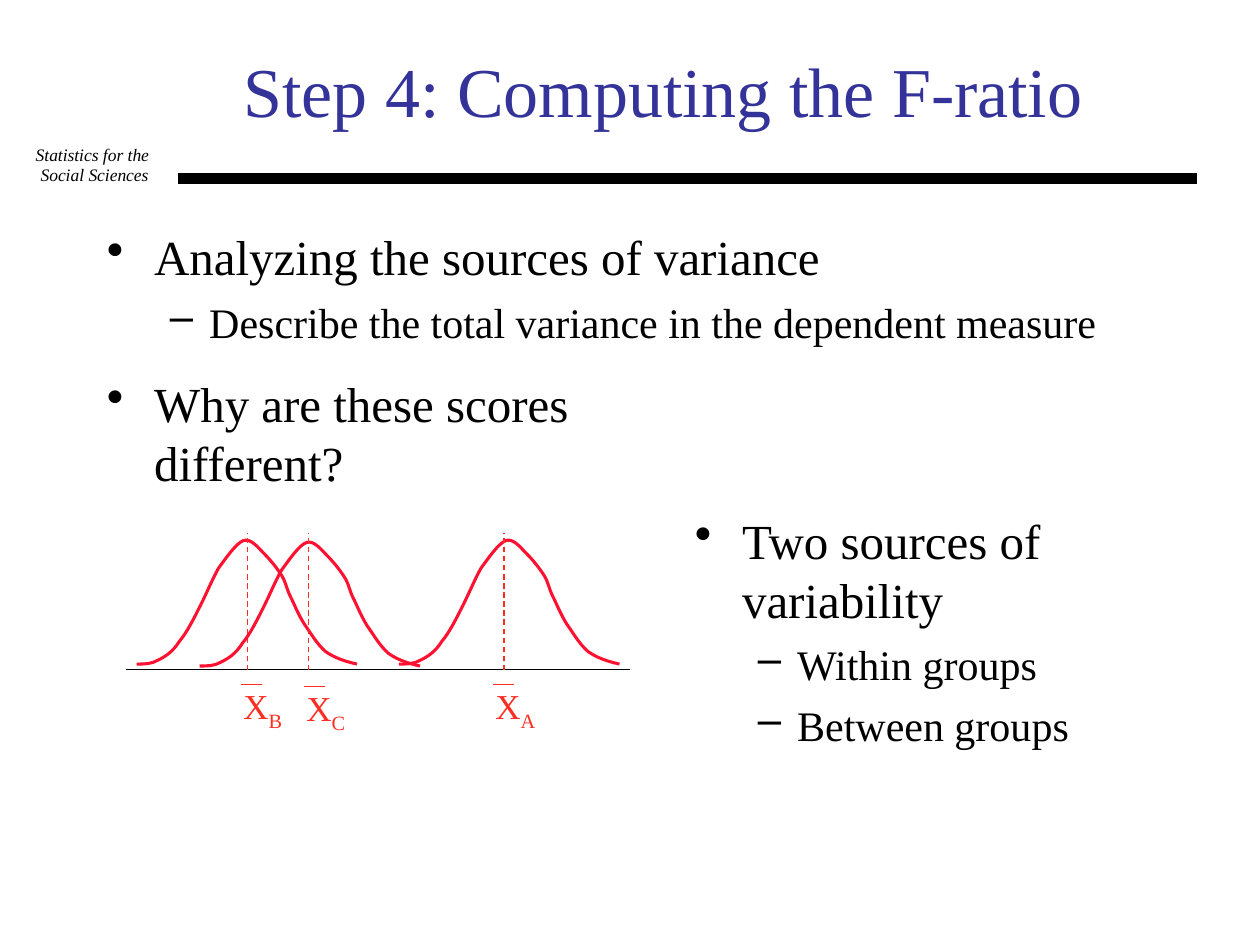
from typing import NamedTuple

from lxml.etree import SubElement
from pptx import Presentation
from pptx.dml.color import RGBColor
from pptx.enum.dml import MSO_LINE_DASH_STYLE as Dash
from pptx.enum.shapes import MSO_CONNECTOR_TYPE as Connector
from pptx.enum.text import MSO_ANCHOR as Anchor, MSO_AUTO_SIZE as AutoSize, PP_ALIGN as Align
from pptx.oxml.ns import qn
from pptx.util import Pt

FONT = "Times New Roman"
COLORS = {"text": "000000", "title": "333399", "curve": "FF1131", "mean": "FF2E23"}
AXIS_Y = 382.75
MEAN_TOP = 304.5

# Bell outline: cubic segments (two controls and an end) from the left foot.
BELL = [
    ((4.3, 0), (8.6, 0), (12.2, -2.2)),
    ((16.6, -4.3), (20.9, -7.2), (24.5, -13)),
    ((28.8, -18), (33.1, -26.6), (36.7, -33.8)),
    ((40.3, -41), (43.2, -48.2), (46.8, -54.7)),
    ((51.1, -60.5), (56.9, -69.1), (61.2, -70.6)),
    ((65.5, -72), (69.8, -66.2), (73.4, -62.6)),
    ((77, -59), (81.4, -53.3), (83.5, -49.7)),
    ((85.7, -45.4), (85.7, -43.2), (87.8, -38.9)),
    ((90, -34.6), (92.2, -28.8), (95.8, -23)),
    ((99.4, -18), (103, -11.5), (108, -7.2)),
    ((113, -3.6), (119.5, -1.4), (126, 0)),
]


class Level(NamedTuple):
    bullet: str
    size: float
    left: float
    hanging: float
    space_before: float


class Distribution(NamedTuple):
    group: str
    curve_left: float
    mean_x: float
    label_left: float
    label_top: float


class BulletBox(NamedTuple):
    left: float
    top: float
    width: float
    height: float
    items: list[tuple[int, str]]


LEVELS = [Level("•", 28, 27, 27, 7), Level("–", 24, 58.5, 22.5, 6)]
DISTRIBUTIONS = [
    Distribution("B", 78, 141.3, 132, 387.5),
    Distribution("A", 228, 288, 276, 387.5),
    Distribution("C", 114, 176.4, 168, 388.6),
]
BULLET_BOXES = [
    BulletBox(54, 126, 618, 96, [
        (0, "Analyzing the sources of variance"),
        (1, "Describe the total variance in the dependent measure"),
    ]),
    BulletBox(54, 210, 288, 78, [(0, "Why are these scores different?")]),
    BulletBox(390, 288, 294, 156, [
        (0, "Two sources of variability"),
        (1, "Within groups"),
        (1, "Between groups"),
    ]),
]


def rgb(name: str) -> RGBColor:
    return RGBColor.from_string(COLORS[name])


def add_run(paragraph, text: str, size: float, color: str = "text", italic: bool = False):
    run = paragraph.add_run()
    run.text = text
    font = run.font
    font.name, font.size, font.italic = FONT, Pt(size), italic
    font.color.rgb = rgb(color)
    return run


def add_text_frame(slide, left: float, top: float, width: float, height: float):
    box = slide.shapes.add_textbox(Pt(left), Pt(top), Pt(width), Pt(height))
    box.text_frame.word_wrap = True
    return box.text_frame


def next_paragraph(frame, index: int, space_before: float):
    """Return the first paragraph, or a new one with space before it."""
    if index == 0:
        return frame.paragraphs[0]
    paragraph = frame.add_paragraph()
    paragraph.space_before = Pt(space_before)
    return paragraph


def add_line(slide, start: tuple, end: tuple, color: str, width: float, dash=None) -> None:
    points = [Pt(value) for value in (*start, *end)]
    line = slide.shapes.add_connector(Connector.STRAIGHT, *points)
    line.line.color.rgb = rgb(color)
    line.line.width = Pt(width)
    if dash:
        line.line.dash_style = dash
    SubElement(line._element.spPr, qn("a:effectLst"))


def set_bullet(paragraph, level: Level) -> None:
    properties = paragraph._p.get_or_add_pPr()
    properties.set("marL", str(Pt(level.left)))
    properties.set("indent", str(-Pt(level.hanging)))
    color = SubElement(properties, qn("a:buClr"))
    SubElement(color, qn("a:srgbClr")).set("val", COLORS["text"])
    SubElement(properties, qn("a:buChar")).set("char", level.bullet)


def add_bullets(slide, box: BulletBox) -> None:
    frame = add_text_frame(slide, box.left, box.top, box.width, box.height)
    for index, (depth, text) in enumerate(box.items):
        level = LEVELS[depth]
        paragraph = next_paragraph(frame, index, level.space_before)
        paragraph.level = depth
        set_bullet(paragraph, level)
        add_run(paragraph, text, level.size)


def smooth_outline(shape) -> None:
    """Turn every three straight segments into one cubic segment."""
    outline = next(shape._element.iter(qn("a:path")))
    lines = outline.findall(qn("a:lnTo"))
    for start in range(0, len(lines), 3):
        cubic = SubElement(outline, qn("a:cubicBezTo"))
        for line in lines[start:start + 3]:
            cubic.append(line[0])
            outline.remove(line)


def add_bell(slide, left: float, foot: float) -> None:
    points = [(Pt(left + x), Pt(foot + y)) for segment in BELL for x, y in segment]
    builder = slide.shapes.build_freeform(Pt(left), Pt(foot))
    builder.add_line_segments(points, close=False)
    curve = builder.convert_to_shape()
    smooth_outline(curve)
    curve.shadow.inherit = False
    curve.fill.background()
    curve.line.color.rgb = rgb("curve")
    curve.line.width = Pt(1.75)


def add_distribution(slide, item: Distribution) -> None:
    """Draw a bell curve, its mean line and its X-bar label."""
    add_bell(slide, item.curve_left, item.label_top - 8)
    add_line(slide, (item.mean_x, AXIS_Y), (item.mean_x, MEAN_TOP), "mean", 0.75, Dash.DASH)
    frame = add_text_frame(slide, item.label_left, item.label_top, 42, 34.5)
    paragraph = frame.paragraphs[0]
    add_run(paragraph, "X", 20, "mean")
    subscript = add_run(paragraph, item.group, 20, "mean")
    subscript.font._element.set("baseline", "-25000")
    bar_left, bar_y = item.label_left + 6, item.label_top + 3.6
    add_line(slide, (bar_left, bar_y), (bar_left + 12, bar_y), "mean", 0.75)


def add_header(slide) -> None:
    frame = add_text_frame(slide, 6, 85, 96, 23)
    for index, text in enumerate(("Statistics for the ", "Social Sciences")):
        paragraph = next_paragraph(frame, index, 6.2)
        paragraph.alignment = Align.CENTER
        paragraph.line_spacing = 0.4
        add_run(paragraph, text, 10, italic=True)
    add_line(slide, (102, 102), (684, 102), "text", 6)


def set_title(slide, text: str) -> None:
    title = slide.shapes.title
    title.left, title.top, title.width, title.height = Pt(132), Pt(30), Pt(528), Pt(42)
    frame = title.text_frame
    frame.auto_size = AutoSize.NONE
    frame.vertical_anchor = Anchor.MIDDLE
    frame.paragraphs[0].alignment = Align.LEFT
    add_run(frame.paragraphs[0], text, 40, "title")


def main() -> None:
    presentation = Presentation()
    presentation.slide_width, presentation.slide_height = Pt(720), Pt(540)
    slide = presentation.slides.add_slide(presentation.slide_layouts[5])
    add_header(slide)
    set_title(slide, "Step 4: Computing the F-ratio")
    for box in BULLET_BOXES:
        add_bullets(slide, box)
    add_line(slide, (72, AXIS_Y), (360, AXIS_Y), "text", 0.75)
    for item in DISTRIBUTIONS:
        add_distribution(slide, item)
    presentation.save("out.pptx")


if __name__ == "__main__":
    main()
